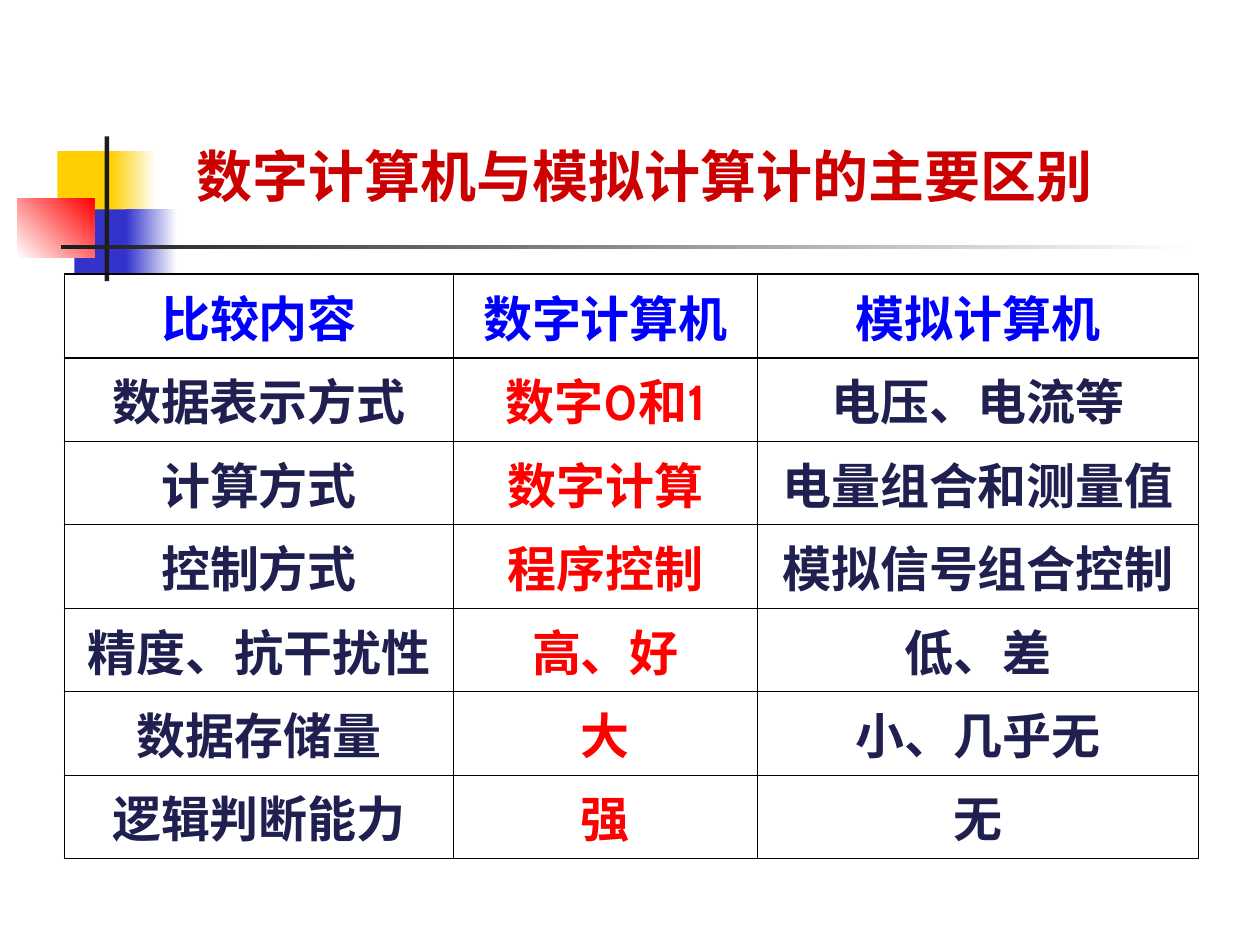
from dataclasses import dataclass

from lxml import etree
from pptx import Presentation
from pptx.dml.color import RGBColor
from pptx.enum.shapes import MSO_SHAPE
from pptx.enum.text import MSO_ANCHOR, MSO_AUTO_SIZE, PP_ALIGN
from pptx.oxml.ns import qn
from pptx.util import Cm, Pt

RECT = MSO_SHAPE.RECTANGLE
TOP, MIDDLE = MSO_ANCHOR.TOP, MSO_ANCHOR.MIDDLE
LEFT, CENTER = PP_ALIGN.LEFT, PP_ALIGN.CENTER
FIXED = MSO_AUTO_SIZE.NONE


@dataclass(frozen=True)
class Theme:
    """Colours, type sizes and line widths of the slide."""
    font: str = "Cabin"
    title: str = "CC0000"
    head: str = "0000FF"
    body: str = "202050"
    accent: str = "FF0000"
    gold: str = "FFCF01"
    blue: str = "3333CC"
    dark: str = "1C1C1C"
    white: str = "FFFFFF"
    grid: str = "000000"
    title_size: float = 32
    cell_size: float = 28
    thin: float = 0.45
    thick: float = 1.08


class Deck:
    """Draws styled elements on the current slide."""

    def __init__(self, slide, theme):
        """Keep the slide and its theme."""
        self.slide = slide
        self.theme = theme

    def label(self, frame, text, size, color, align):
        """Put one bold line into a text frame."""
        frame.text = text
        line = frame.paragraphs[0]
        line.alignment = align
        line.font.name = self.theme.font
        line.font.size = Pt(size)
        line.font.bold = True
        line.font.color.rgb = RGBColor.from_string(color)

    def title(self, text, box):
        """Move and fill the title placeholder."""
        shape = self.slide.shapes.title
        shape.left, shape.top, shape.width, shape.height = map(Cm, box)
        frame = shape.text_frame
        frame.auto_size = FIXED
        frame.vertical_anchor = TOP
        self.label(frame, text, self.theme.title_size, self.theme.title, LEFT)

    def block(self, box, color, fade=None, angle=0):
        """Add a borderless rectangle, plain or fading to a second colour."""
        shape = self.slide.shapes.add_shape(RECT, *map(Cm, box))
        shape.shadow.inherit = False
        shape.line.fill.background()
        if fade is None:
            shape.fill.solid()
            shape.fill.fore_color.rgb = RGBColor.from_string(color)
            return
        shape.fill.gradient()
        shape.fill.gradient_angle = angle
        for stop, tone in zip(shape.fill.gradient_stops, (color, fade)):
            stop.color.rgb = RGBColor.from_string(tone)

    def border(self, cell, widths):
        """Draw the left, right, top and bottom lines of a cell."""
        props = cell._tc.get_or_add_tcPr()
        for spot, (side, width) in enumerate(zip("LRTB", widths)):
            line = etree.Element(qn(f"a:ln{side}"), w=str(Pt(width)))
            fill = etree.SubElement(line, qn("a:solidFill"))
            etree.SubElement(fill, qn("a:srgbClr"), val=self.theme.grid)
            props.insert(spot, line)

    def table(self, rows, left, top, widths, height):
        """Add the table with a heavy frame and a heavy line under its head."""
        theme = self.theme
        count, last = len(rows), len(widths) - 1
        grid = self.slide.shapes.add_table(
            count, len(widths), Cm(left), Cm(top),
            Cm(sum(widths)), Cm(height * count)).table
        grid.first_row = grid.horz_banding = False
        for column, width in zip(grid.columns, widths):
            column.width = Cm(width)
        for r, row in enumerate(rows):
            grid.rows[r].height = Cm(height)
            for c, text in enumerate(row):
                cell = grid.cell(r, c)
                cell.fill.background()
                cell.vertical_anchor = MIDDLE
                color = theme.head if r == 0 else (
                    theme.accent if c == 1 else theme.body)
                self.label(cell.text_frame, text, theme.cell_size, color, CENTER)
                heavy = (c == 0, c == last, r < 2, r in (0, count - 1))
                self.border(cell, [theme.thick if h else theme.thin for h in heavy])


ROWS = [
    ("比较内容", "数字计算机", "模拟计算机"),
    ("数据表示方式", "数字0和1", "电压、电流等"),
    ("计算方式", "数字计算", "电量组合和测量值"),
    ("控制方式", "程序控制", "模拟信号组合控制"),
    ("精度、抗干扰性", "高、好", "低、差"),
    ("数据存储量", "大", "小、几乎无"),
    ("逻辑判断能力", "强", "无"),
]


def main():
    """Build and save the slide."""
    show = Presentation()
    show.slide_width, show.slide_height = Cm(25.4), Cm(19.05)
    theme = Theme()
    deck = Deck(show.slides.add_slide(show.slide_layouts[5]), theme)
    deck.block((1.16, 3.05, 1.22, 1.32), theme.gold)
    deck.block((2.23, 3.05, 0.92, 1.32), theme.gold, theme.white)
    deck.block((1.5, 4.22, 1.17, 1.32), theme.blue)
    deck.block((2.54, 4.22, 1.02, 1.32), theme.blue, theme.white)
    deck.block((0.35, 4.01, 1.55, 1.18), theme.white, theme.accent, 45)
    deck.block((2.11, 2.75, 0.09, 2.92), theme.dark)
    deck.block((1.23, 4.94, 22.86, 0.09), theme.dark, theme.white)
    deck.title("数字计算机与模拟计算计的主要区别", (3.7, 2.72, 19.6, 2.2))
    deck.table(ROWS, 1.3, 5.53, (7.84, 6.13, 8.89), 1.68)
    show.save("out.pptx")


if __name__ == "__main__":
    main()
